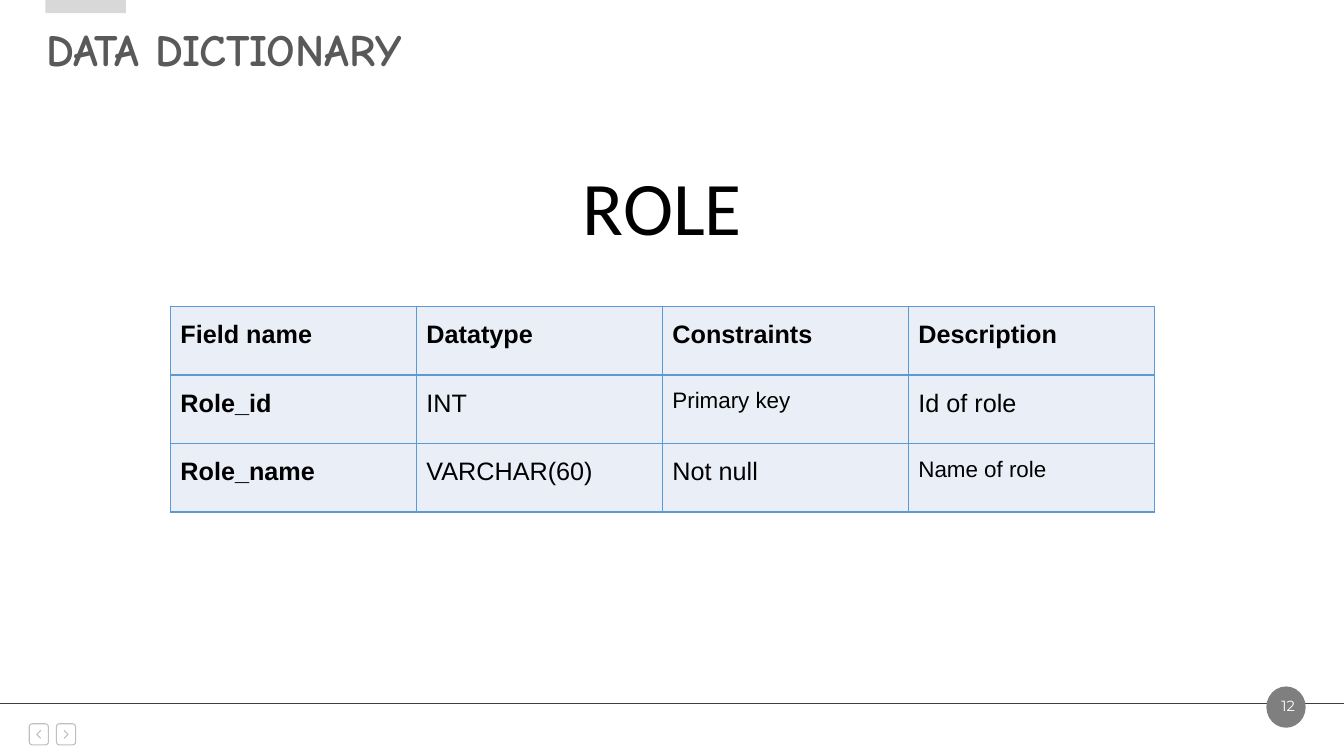
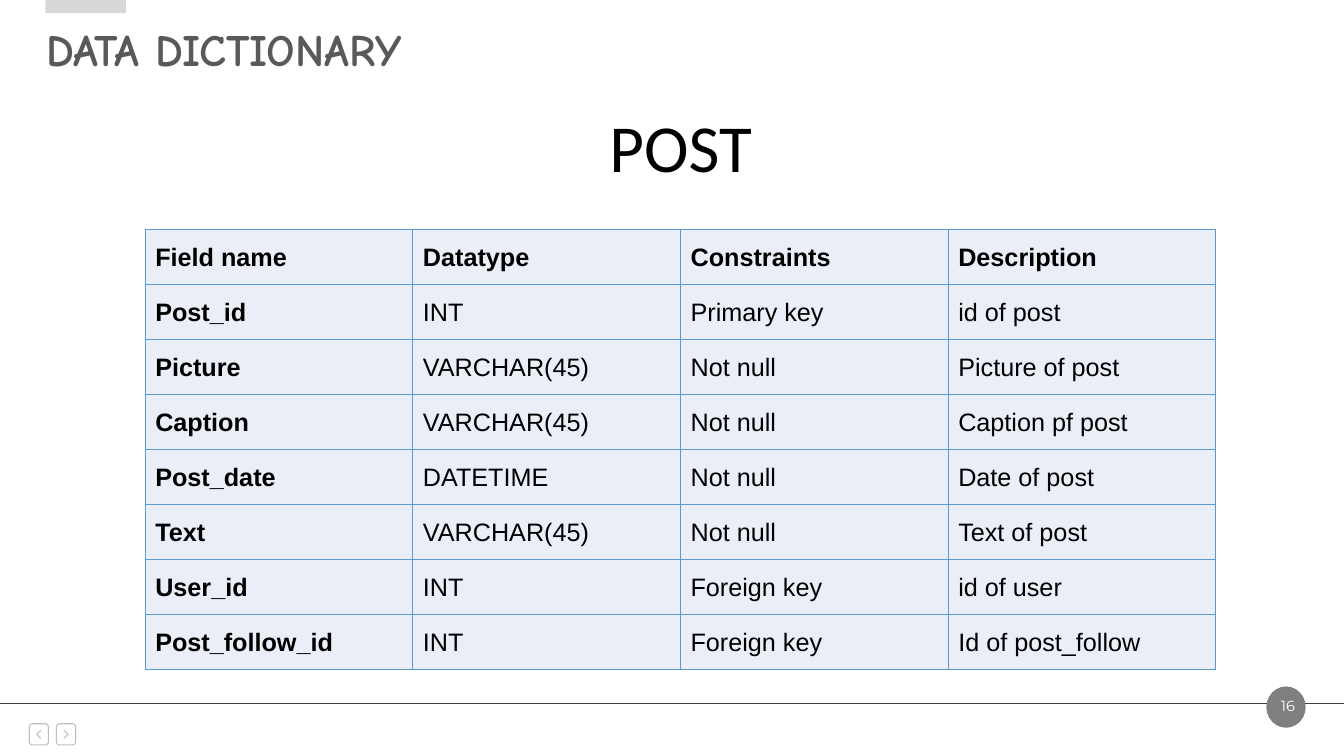
from lxml import etree
from pptx import Presentation
from pptx.dml.color import RGBColor
from pptx.enum.shapes import MSO_CONNECTOR as Connector, MSO_SHAPE as Preset
from pptx.enum.text import MSO_ANCHOR as Anchor, MSO_AUTO_SIZE as AutoSize, PP_ALIGN as Align
from pptx.oxml import parse_xml
from pptx.oxml.ns import nsdecls, qn
from pptx.util import Inches, Pt

BLACK = RGBColor(0x00, 0x00, 0x00)
WHITE = RGBColor(0xFF, 0xFF, 0xFF)
TITLE_GRAY = RGBColor(0x59, 0x59, 0x59)
TAB_GRAY = RGBColor(0xD8, 0xD8, 0xD8)
BADGE_GRAY = RGBColor(0x7F, 0x7F, 0x7F)
BUTTON_GRAY = RGBColor(0xBF, 0xBF, 0xBF)
RULE_GRAY = RGBColor(0x3F, 0x3F, 0x3F)
CELL_FILL = RGBColor(0xEA, 0xEF, 0xF7)
CELL_BORDER = RGBColor(0x5B, 0x9B, 0xD5)

TITLE_FONT = "Comic Neue"
HEADING_FONT = "Calibri"
TABLE_FONT = "Arial"
NUMBER_FONT = "Montserrat"

SLIDE_WIDTH, SLIDE_HEIGHT = 13.33, 7.5
RULE_TOP = 6.98
BUTTON_TOP, BUTTON_WIDTH, BUTTON_HEIGHT = 7.18, 0.19, 0.21
TITLE = "DATA DICTIONARY"
HEADER = ("Field name", "Datatype", "Constraints", "Description")

ROLE_FIELDS = [
    ("Role_id", "INT", "Primary key", "Id of role"),
    ("Role_name", "VARCHAR(60)", "Not null", "Name of role"),
]
POST_FIELDS = [
    ("Post_id", "INT", "Primary key", "id of post"),
    ("Picture", "VARCHAR(45)", "Not null", "Picture of post"),
    ("Caption", "VARCHAR(45)", "Not null", "Caption pf post"),
    ("Post_date", "DATETIME", "Not null", "Date of post"),
    ("Text", "VARCHAR(45)", "Not null", "Text of post"),
    ("User_id", "INT", "Foreign key", "id of user"),
    ("Post_follow_id", "INT", "Foreign key", "Id of post_follow"),
]


def inches(*lengths):
    return [Inches(length) for length in lengths]


def set_font(paragraph, name, size, color, bold=False):
    font = paragraph.font
    font.name, font.size, font.bold = name, Pt(size), bold
    font.color.rgb = color


def add_filled_shape(slide, preset, box, color):
    shape = slide.shapes.add_shape(preset, *inches(*box))
    shape.shadow.inherit = False
    shape.fill.solid()
    shape.fill.fore_color.rgb = color
    shape.line.fill.background()


def set_outline_only(shape, color, width):
    shape.shadow.inherit = False
    shape.fill.background()
    shape.line.color.rgb = color
    shape.line.width = Pt(width)


def add_centred_text(slide, text, box, font, size, color, anchor=Anchor.TOP):
    frame = slide.shapes.add_textbox(*inches(*box)).text_frame
    frame.word_wrap = True
    frame.vertical_anchor = anchor
    paragraph = frame.paragraphs[0]
    paragraph.text = text
    paragraph.alignment = Align.CENTER
    set_font(paragraph, font, size, color)


def add_title(slide):
    title = slide.shapes.title
    title.left, title.top, title.width, title.height = inches(0.36, 0.16, 8.25, 0.64)
    frame = title.text_frame
    frame.text = TITLE
    frame.auto_size = AutoSize.NONE
    frame.vertical_anchor = Anchor.MIDDLE
    paragraph = frame.paragraphs[0]
    paragraph.alignment = Align.LEFT
    set_font(paragraph, TITLE_FONT, 32, TITLE_GRAY, bold=True)


def add_button(slide, left, direction):
    """Add a rounded button whose chevron points left (-1) or right (1)."""
    button = slide.shapes.add_shape(
        Preset.ROUNDED_RECTANGLE, *inches(left, BUTTON_TOP, BUTTON_WIDTH, BUTTON_HEIGHT))
    button.adjustments[0] = 0.16
    set_outline_only(button, BUTTON_GRAY, 0.75)

    center_x = left + BUTTON_WIDTH / 2
    center_y = BUTTON_TOP + BUTTON_HEIGHT / 2
    back_x, tip_x = center_x - 0.02 * direction, center_x + 0.02 * direction
    builder = slide.shapes.build_freeform(*inches(back_x, center_y - 0.04), scale=1.0)
    builder.add_line_segments(
        [inches(tip_x, center_y), inches(back_x, center_y + 0.04)], close=False)
    set_outline_only(builder.convert_to_shape(), BUTTON_GRAY, 0.75)


def add_footer(slide, number):
    for left, direction in ((0.29, -1), (0.56, 1)):
        add_button(slide, left, direction)
    rule = slide.shapes.add_connector(
        Connector.STRAIGHT, *inches(0, RULE_TOP, SLIDE_WIDTH, RULE_TOP))
    rule.line.color.rgb = RULE_GRAY
    rule.line.width = Pt(0.75)
    etree.SubElement(rule._element.spPr, qn("a:effectLst"))
    add_filled_shape(slide, Preset.OVAL, (12.56, 6.81, 0.39, 0.41), BADGE_GRAY)
    add_centred_text(slide, str(number), (12.53, 6.86, 0.49, 0.28),
                     NUMBER_FONT, 10.5, WHITE, Anchor.BOTTOM)


def set_borders(cell):
    properties = cell._tc.get_or_add_tcPr()
    for side in ("lnL", "lnR", "lnT", "lnB"):
        properties.append(parse_xml(
            f'<a:{side} {nsdecls("a")} w="{Pt(1)}"><a:solidFill>'
            f'<a:srgbClr val="{CELL_BORDER}"/></a:solidFill></a:{side}>'))


def fill_cell(cell, text, size, bold):
    set_borders(cell)
    cell.fill.solid()
    cell.fill.fore_color.rgb = CELL_FILL
    cell.margin_left = cell.margin_right = Inches(0.1)
    cell.margin_top = cell.margin_bottom = Inches(0.1)
    paragraph = cell.text_frame.paragraphs[0]
    paragraph.text = text
    paragraph.line_spacing = 1.15
    set_font(paragraph, TABLE_FONT, size, BLACK, bold)


def add_field_table(slide, fields, box, small_texts):
    rows = [HEADER, *fields]
    table = slide.shapes.add_table(len(rows), len(HEADER), *inches(*box)).table
    table.first_row = table.horz_banding = False
    for row_index, row in enumerate(rows):
        for column_index, text in enumerate(row):
            fill_cell(table.cell(row_index, column_index), text,
                      size=16 if text in small_texts else 18,
                      bold=row_index == 0 or column_index == 0)


def add_dictionary_slide(presentation, number, entity, heading_box, heading_size,
                         fields, table_box, small_texts=()):
    slide = presentation.slides.add_slide(presentation.slide_layouts[5])
    add_footer(slide, number)
    add_title(slide)
    add_filled_shape(slide, Preset.RECTANGLE, (0.45, 0, 0.8, 0.13), TAB_GRAY)
    add_field_table(slide, fields, table_box, small_texts)
    add_centred_text(slide, entity, heading_box, HEADING_FONT, heading_size, BLACK)


def main():
    presentation = Presentation()
    presentation.slide_width, presentation.slide_height = inches(SLIDE_WIDTH, SLIDE_HEIGHT)
    add_dictionary_slide(presentation, 12, "ROLE", (2.07, 1.54, 9, 1.01), 54,
                         ROLE_FIELDS, (1.69, 3.04, 9.76, 2.04),
                         small_texts=("Primary key", "Name of role"))
    add_dictionary_slide(presentation, 16, "POST", (1.44, 1, 10.62, 0.91), 48,
                         POST_FIELDS, (1.44, 2.28, 10.62, 4.36))
    presentation.save("out.pptx")


if __name__ == "__main__":
    main()
